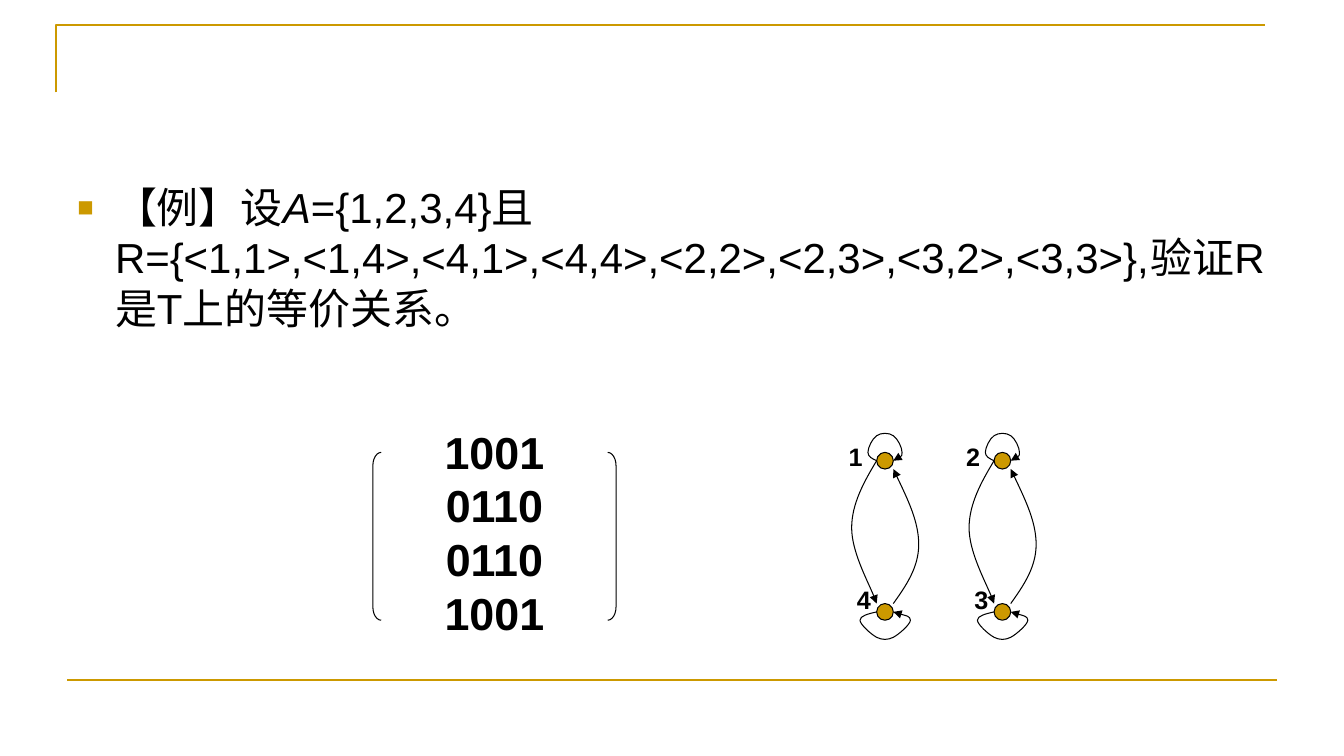
"""Build a slide on an equivalence relation with its matrix and its graph."""
from dataclasses import dataclass

from lxml import etree
from pptx import Presentation
from pptx import util as u
from pptx.dml.color import RGBColor
from pptx.enum import shapes, text
from pptx.oxml.ns import qn

Point = tuple[float, float]


@dataclass(frozen=True)
class Theme:
    gold: RGBColor = RGBColor(0xCC, 0x99, 0x00)
    black: RGBColor = RGBColor(0, 0, 0)
    font: str = "Arial"
    body: int = 30
    matrix: int = 32
    label: int = 18
    thick: float = 1.5
    thin: float = 0.75


@dataclass(frozen=True)
class Box:
    left: float
    top: float
    width: float
    height: float

    def emu(self) -> list[u.Cm]:
        return [u.Cm(v) for v in (self.left, self.top, self.width, self.height)]


@dataclass(frozen=True)
class Pair:
    left: float
    upper: str
    lower: str


THEME = Theme()
NODE = 0.42
UPPER, LOWER = 11.4, 15.21
PAIRS = [Pair(22.1, "1", "4"), Pair(25.06, "2", "3")]
EDGES: list[list[Point]] = [
    [(0, 0.21), (-0.32, 0.74), (-0.63, 1.3), (-0.63, 1.9),
     (-0.63, 2.5), (-0.1, 3.48), (0, 3.81)],
    [(0.42, 3.81), (0.74, 3.36), (1.06, 2.9), (1.06, 2.32),
     (1.06, 1.75), (0.74, 1.09), (0.42, 0.42)],
    [(0, 4.02), (-0.22, 4.07), (-0.42, 4.12), (-0.42, 4.23),
     (-0.42, 4.33), (-0.15, 4.58), (0, 4.66),
     (0.14, 4.73), (0.28, 4.73), (0.42, 4.66),
     (0.57, 4.58), (0.85, 4.33), (0.85, 4.23),
     (0.85, 4.12), (0.49, 4.05), (0.42, 4.02)],
    [(0, 0.21), (-0.11, 0.16), (-0.22, 0.11), (-0.22, 0),
     (-0.22, -0.12), (-0.11, -0.35), (0, -0.42),
     (0.11, -0.5), (0.31, -0.5), (0.42, -0.42),
     (0.53, -0.35), (0.64, -0.12), (0.64, 0),
     (0.64, 0.11), (0.53, 0.16), (0.42, 0.21)],
]


def style(shape, color: RGBColor, weight: float, fill: RGBColor | None = None) -> None:
    shape.shadow.inherit = False
    shape.line.color.rgb = color
    shape.line.width = u.Pt(weight)
    if fill is None:
        shape.fill.background()
    else:
        shape.fill.solid()
        shape.fill.fore_color.rgb = fill


def draw_outline(slide, points: list[Point], color: RGBColor, weight: float):
    start, *rest = [(u.Cm(x), u.Cm(y)) for x, y in points]
    builder = slide.shapes.build_freeform(*start)
    builder.add_line_segments(rest, close=False)
    outline = builder.convert_to_shape()
    style(outline, color, weight)
    return outline


def bend(outline) -> None:
    segments = list(outline._element.iter(qn("a:lnTo")))
    for i in range(0, len(segments), 3):
        curve = etree.Element(qn("a:cubicBezTo"))
        segments[i].addprevious(curve)
        for segment in segments[i:i + 3]:
            curve.append(segment[0])
            segment.getparent().remove(segment)


def draw_edge(slide, left: float, controls: list[Point]) -> None:
    points = [(left + x, UPPER + y) for x, y in controls]
    edge = draw_outline(slide, points, THEME.black, THEME.thin)
    bend(edge)
    etree.SubElement(edge.line._get_or_add_ln(), qn("a:tailEnd"), type="triangle")


def write(slide, box: Box, lines: list[list[str]], *, size: int, bold: bool = False,
          italic: str = "", align=text.PP_ALIGN.CENTER,
          anchor=text.MSO_ANCHOR.MIDDLE, wrap: bool = False):
    frame = slide.shapes.add_textbox(*box.emu()).text_frame
    frame.word_wrap = wrap
    frame.vertical_anchor = anchor
    for i, pieces in enumerate(lines):
        paragraph = frame.add_paragraph() if i else frame.paragraphs[0]
        paragraph.alignment = align
        for piece in pieces:
            run = paragraph.add_run()
            run.text = piece
            run.font.name = THEME.font
            run.font.size = u.Pt(size)
            run.font.bold = bold
            run.font.italic = piece == italic
            run.font.color.rgb = THEME.black
    return frame


def add_bullet(paragraph, indent: float) -> None:
    props = paragraph._p.get_or_add_pPr()
    props.set("marL", str(u.Cm(indent)))
    props.set("indent", str(-u.Cm(indent)))
    color = etree.SubElement(props, qn("a:buClr"))
    etree.SubElement(color, qn("a:srgbClr"), val=str(THEME.gold))
    etree.SubElement(props, qn("a:buSzPct"), val="65000")
    etree.SubElement(props, qn("a:buFont"), typeface=THEME.font)
    etree.SubElement(props, qn("a:buChar"), char="■")


def draw_frame(slide) -> None:
    draw_outline(slide, [(1.42, 2.33), (1.42, 0.64), (31.9, 0.64)], THEME.gold, THEME.thick)
    footer = slide.shapes.add_connector(
        shapes.MSO_CONNECTOR.STRAIGHT, u.Cm(1.7), u.Cm(17.14), u.Cm(32.18), u.Cm(17.14))
    footer.line.color.rgb = THEME.gold
    footer.line.width = u.Pt(THEME.thick)
    etree.SubElement(footer._element.spPr, qn("a:effectLst"))


def draw_example(slide) -> None:
    example = ["【例】设", "A",
               "={1,2,3,4}且R={<1,1>,<1,4>,<4,1>,<4,4>,<2,2>,<2,3>,<3,2>,<3,3>},"
               "验证R是T上的等价关系。"]
    frame = write(slide, Box(1.7, 4.45, 30.48, 12.57), [example], size=THEME.body,
                  italic="A", align=text.PP_ALIGN.LEFT, anchor=text.MSO_ANCHOR.TOP,
                  wrap=True)
    add_bullet(frame.paragraphs[0], 0.95)


def draw_matrix(slide) -> None:
    rows = [[row] for row in ("1001", "0110", "0110", "1001")]
    write(slide, Box(8.34, 10.13, 8.25, 6.55), rows, size=THEME.matrix, bold=True)
    kinds = shapes.MSO_SHAPE
    for kind, left in ((kinds.LEFT_BRACKET, 9.4), (kinds.RIGHT_BRACKET, 15.32)):
        bracket = slide.shapes.add_shape(kind, *Box(left, UPPER, 0.21, 4.23).emu())
        bracket.adjustments[0] = 1.6
        style(bracket, THEME.black, THEME.thin)


def draw_pair(slide, pair: Pair) -> None:
    for top in (UPPER, LOWER):
        node = slide.shapes.add_shape(
            shapes.MSO_SHAPE.OVAL, *Box(pair.left, top, NODE, NODE).emu())
        style(node, THEME.black, THEME.thin, THEME.gold)
    for controls in EDGES:
        draw_edge(slide, pair.left, controls)
    for label, dx, dy in ((pair.upper, -1.27, -0.63), (pair.lower, -1.06, 2.96)):
        write(slide, Box(pair.left + dx, UPPER + dy, 1.48, 1.48), [[label]],
              size=THEME.label, bold=True)


def main() -> None:
    deck = Presentation()
    deck.slide_width, deck.slide_height = u.Cm(33.88), u.Cm(19.05)
    slide = deck.slides.add_slide(deck.slide_layouts[6])
    draw_frame(slide)
    draw_example(slide)
    draw_matrix(slide)
    for pair in PAIRS:
        draw_pair(slide, pair)
    deck.save("out.pptx")


if __name__ == "__main__":
    main()
